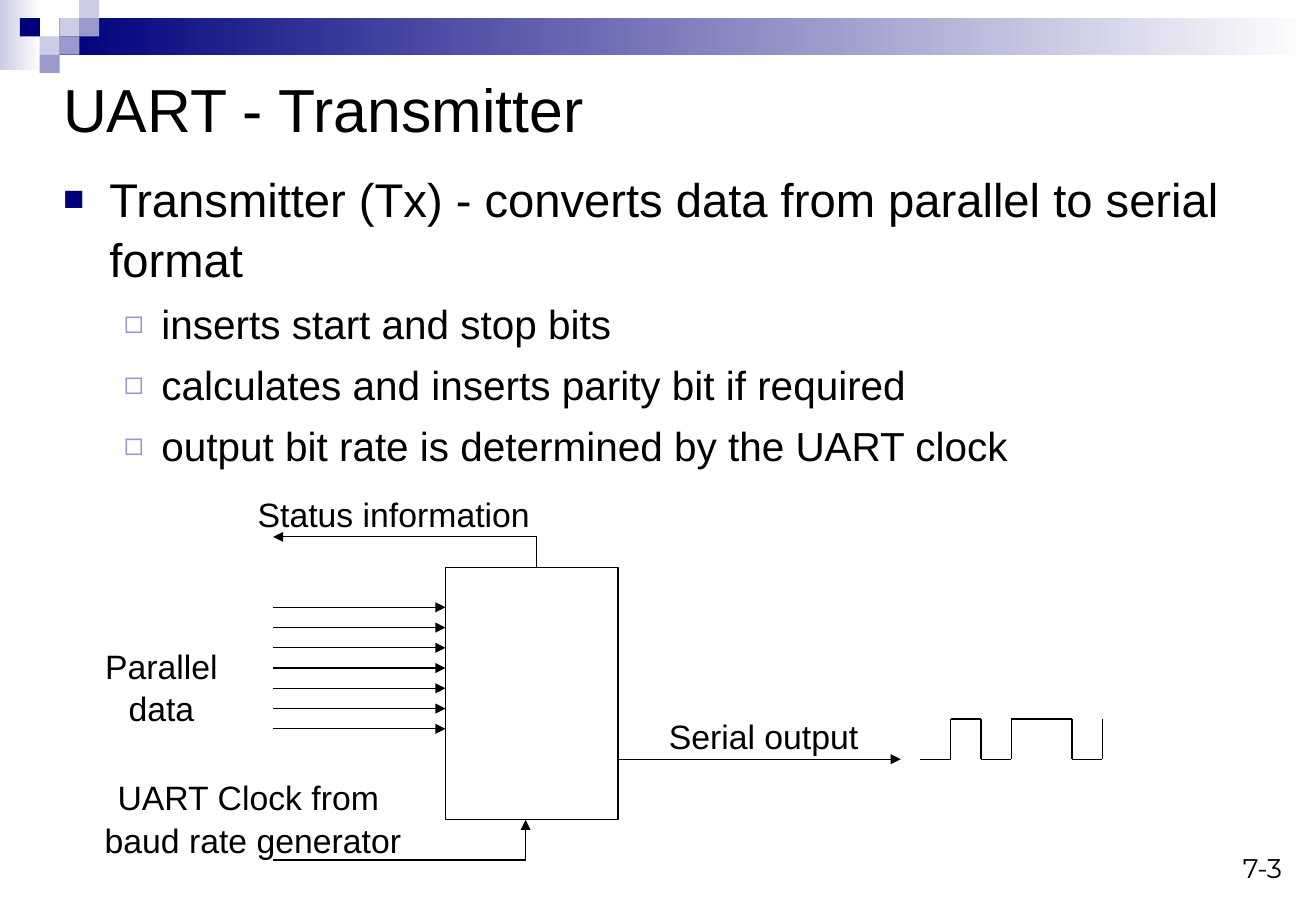
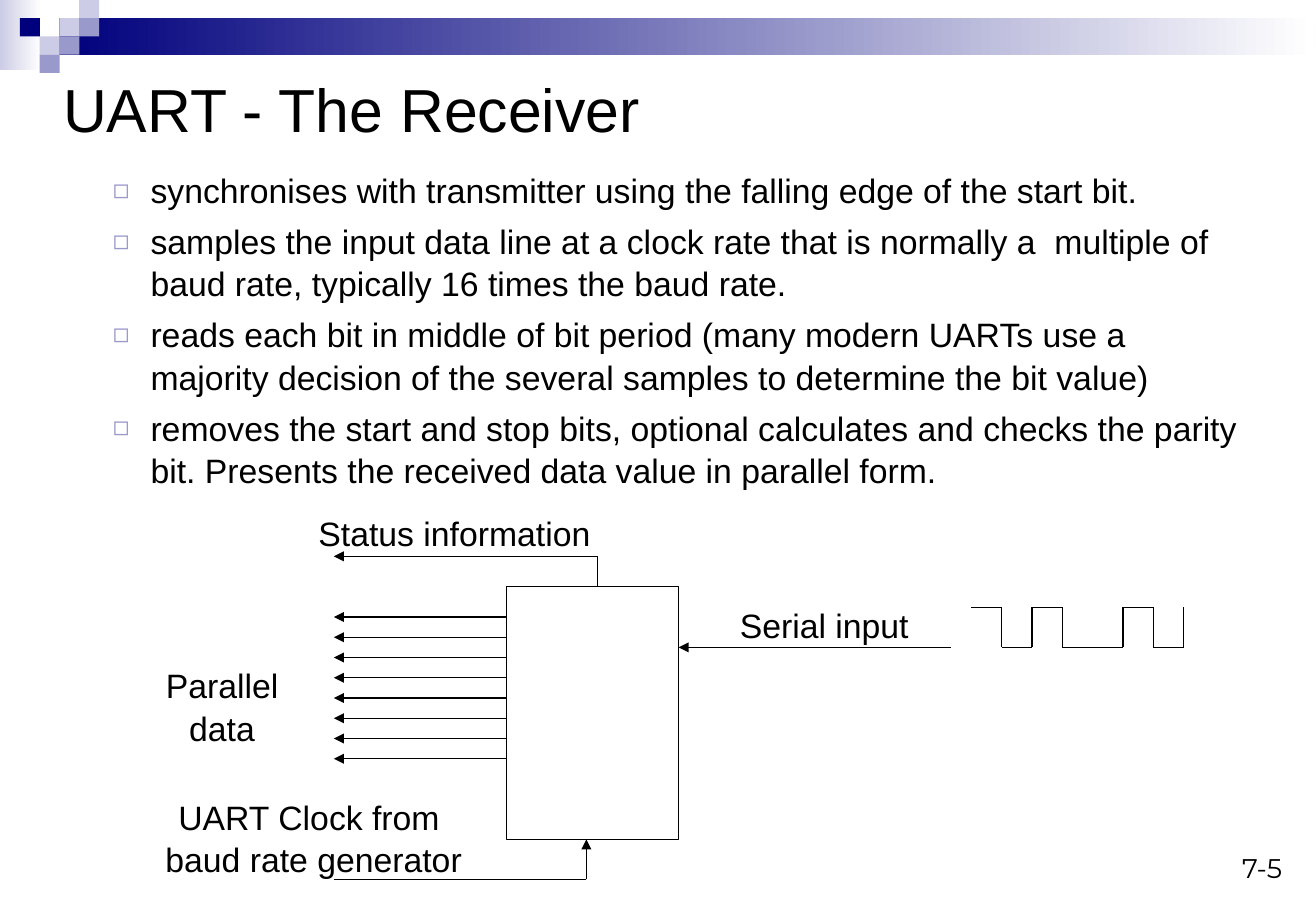
from dataclasses import dataclass

from lxml import etree
from pptx import Presentation
from pptx.dml.color import RGBColor
from pptx.enum import shapes, text
from pptx.oxml.ns import qn
from pptx.util import Inches, Pt


@dataclass(frozen=True)
class Theme:
    ink: RGBColor = RGBColor(0x00, 0x00, 0x00)
    white: RGBColor = RGBColor(0xFF, 0xFF, 0xFF)
    navy: RGBColor = RGBColor(0x00, 0x00, 0x7D)
    lilac: RGBColor = RGBColor(0x99, 0x99, 0xCC)
    pale: RGBColor = RGBColor(0xCC, 0xCC, 0xE6)
    font: str = "Arial"
    number_font: str = "Montserrat"
    title_size: int = 36
    label_size: int = 20
    number_size: int = 16
    line_width: float = 0.75
    line_spacing: float = 1.05


THEME = Theme()

# Bullet per list level: character, colour, size %, left indent, hanging indent
BULLETS = [("■", THEME.navy, 75, 0.38, 0.38),
           ("◻", THEME.lilac, 80, 0.81, 0.31)]

# Diagram measures, in inches
BOX_W, BOX_H = 1.42, 2.08
WIRE_END = -1.42      # left end of the wires, from the box's left side
WIRE_GAP = 1 / 6
BIT_W, BIT_H = 0.25, 0.33


def box_of(left, top, width, height):
    return [Inches(v) for v in (left, top, width, height)]


def style(paragraph, size, font=THEME.font, align=text.PP_ALIGN.LEFT):
    paragraph.alignment = align
    paragraph.line_spacing = THEME.line_spacing
    paragraph.font.name = font
    paragraph.font.size = Pt(size)
    paragraph.font.color.rgb = THEME.ink


def place(shape, left, top, width, height):
    shape.left, shape.top, shape.width, shape.height = box_of(left, top, width, height)


# Shared frame: band and title position on the layout
def band_tile(slide, bounds, *colors):
    tile = slide.shapes.add_shape(shapes.MSO_SHAPE.RECTANGLE, *box_of(*bounds))
    tile.shadow.inherit = False
    tile.line.fill.background()
    if len(colors) == 1:
        tile.fill.solid()
        tile.fill.fore_color.rgb = colors[0]
    else:
        tile.fill.gradient()
        tile.fill.gradient_angle = 0
        for stop, color in zip(tile.fill.gradient_stops, colors):
            stop.color.rgb = color
    return tile


def build_layout(layout, slide):
    """Draw the band on a slide, then move it to the layout behind everything."""
    tiles = [band_tile(slide, (0, 0, 0.34, 0.58), THEME.pale, THEME.white),
             band_tile(slide, (0.49, 0.15, 10.34, 0.3), THEME.navy, THEME.white)]
    checker = [(3, 1, THEME.pale), (4, 0, THEME.pale), (4, 1, THEME.lilac),
               (2, 2, THEME.pale), (1, 1, THEME.navy), (3, 2, THEME.lilac),
               (2, 3, THEME.lilac)]
    for column, row, color in checker:
        tiles.append(band_tile(slide, (column * 0.163, row * 0.15, 0.165, 0.15), color))
    for index, tile in enumerate(tiles):
        tile.element.nvSpPr.cNvPr.set("id", str(100 + index))
        layout.shapes.element.insert(2 + index, tile.element)
    place(layout.placeholders[0], 0.42, 0.5, 9.88, 0.75)


# Text
def add_title(slide, wording):
    title = slide.shapes.title
    title.text_frame.text = wording
    title.text_frame.vertical_anchor = text.MSO_ANCHOR.MIDDLE
    title.text_frame.auto_size = text.MSO_AUTO_SIZE.NONE
    style(title.text_frame.paragraphs[0], THEME.title_size)


def add_bullet(paragraph, level):
    char, color, percent, left, hanging = BULLETS[level]
    props = paragraph._p.get_or_add_pPr()
    props.set("marL", str(Inches(left)))
    props.set("indent", str(-Inches(hanging)))
    bullet_color = etree.SubElement(props, qn("a:buClr"))
    etree.SubElement(bullet_color, qn("a:srgbClr"), val=str(color))
    etree.SubElement(props, qn("a:buSzPct"), val=str(percent * 1000))
    etree.SubElement(props, qn("a:buFont"), typeface=THEME.font)
    etree.SubElement(props, qn("a:buChar"), char=char)


def add_list(slide, bounds, items):
    """Each item is (level, size, space before, wording)."""
    body = slide.placeholders[1]
    place(body, *bounds)
    frame = body.text_frame
    frame.auto_size = text.MSO_AUTO_SIZE.NONE
    for index, (level, size, gap, wording) in enumerate(items):
        paragraph = frame.add_paragraph() if index else frame.paragraphs[0]
        paragraph.text = wording
        paragraph.level = level
        add_bullet(paragraph, level)
        paragraph.space_before = Pt(gap if index else 0)
        style(paragraph, size)


def add_label(slide, bounds, wording, size=THEME.label_size, font=THEME.font,
              align=text.PP_ALIGN.CENTER, anchor=text.MSO_ANCHOR.TOP):
    frame = slide.shapes.add_textbox(*box_of(*bounds)).text_frame
    frame.word_wrap = True
    frame.vertical_anchor = anchor
    frame.text = wording
    style(frame.paragraphs[0], size, font, align)


def add_page_number(slide, number):
    add_label(slide, (9.58, 6.83, 1.08, 0.5), number, THEME.number_size,
              THEME.number_font, text.PP_ALIGN.RIGHT, text.MSO_ANCHOR.BOTTOM)


# Diagram
def add_wire(slide, points, arrow=True):
    """Join the points with straight lines; the arrowhead is at the last one."""
    for start, end in zip(points, points[1:]):
        segment = slide.shapes.add_connector(
            shapes.MSO_CONNECTOR.STRAIGHT, *[Inches(v) for v in (*start, *end)])
        segment.line.color.rgb = THEME.ink
        segment.line.width = Pt(THEME.line_width)
        etree.SubElement(segment.element.spPr, qn("a:effectLst"))
    if arrow:
        etree.SubElement(segment.line._get_or_add_ln(), qn("a:tailEnd"), type="triangle")


def add_wave(slide, left, base, bits):
    """Draw the bits as a signal that ends with a rising edge."""
    points = []
    for index, bit in enumerate(bits):
        level = base - BIT_H * int(bit)
        points += [(left + BIT_W * index, level), (left + BIT_W * (index + 1), level)]
    points.append((left + BIT_W * len(bits), base - BIT_H))
    add_wire(slide, points, arrow=False)


def add_uart(slide, left, top, receives, lanes, first_lane, serial, wave_left, bits):
    """Draw the UART box with its wires; lengths are from its top left corner."""
    def at(x, y):
        return left + x, top + y

    unit = slide.shapes.add_shape(shapes.MSO_SHAPE.RECTANGLE,
                                  *box_of(left, top, BOX_W, BOX_H))
    unit.shadow.inherit = False
    unit.fill.background()
    unit.line.color.rgb = THEME.ink
    unit.line.width = Pt(THEME.line_width)

    # Status and clock
    add_wire(slide, [at(0.75, 0), at(0.75, -0.25), at(WIRE_END, -0.25)])
    add_wire(slide, [at(WIRE_END, 2.41), at(0.66, 2.41), at(0.66, BOX_H)])

    # Parallel and serial data
    direction = -1 if receives else 1
    for lane in range(lanes):
        y = first_lane + lane * WIRE_GAP
        add_wire(slide, [at(WIRE_END, y), at(0, y)][::direction])
    far_end = 3.66 if receives else 3.75
    add_wire(slide, [at(BOX_W, serial), at(far_end, serial)][::direction])
    add_wave(slide, *at(wave_left, serial), bits)

    # Labels
    serial_name = "Serial input" if receives else "Serial output"
    add_label(slide, (*at(1.58, serial - 0.42), 2.08, 0.44), serial_name)
    add_label(slide, (*at(-3.09, 0.58), 1.5, 0.77), "Parallel data")
    add_label(slide, (*at(-3.17, 1.66), 3.17, 0.77),
              "UART Clock from \vbaud rate generator")
    add_label(slide, (*at(-2.09, -0.67), 3.33, 0.44), "Status information")


def main():
    prs = Presentation()
    prs.slide_width, prs.slide_height = Inches(10.84), Inches(7.5)
    layout = prs.slide_layouts[1]

    # Transmitter
    transmitter = prs.slides.add_slide(layout)
    build_layout(layout, transmitter)
    add_title(transmitter, "UART - Transmitter")
    add_list(transmitter, (0.42, 1.33, 9.83, 5.92), [
        (0, 28, 7, "Transmitter (Tx) - converts data from parallel to serial format"),
        (1, 24, 6, "inserts start and stop bits"),
        (1, 24, 6, "calculates and inserts parity bit if required"),
        (1, 24, 6, "output bit rate is determined by the UART clock"),
    ])
    add_uart(transmitter, 3.67, 4.67, receives=False, lanes=7, first_lane=0.33,
             serial=1.58, wave_left=3.91, bits="010110")
    add_page_number(transmitter, "7-3")

    # Receiver
    receiver = prs.slides.add_slide(layout)
    add_title(receiver, "UART - The Receiver")
    duties = [
        "synchronises with transmitter using the falling edge of the start bit.",
        "samples the input data line at a clock rate that is normally a  multiple of "
        "baud rate, typically 16 times the baud rate.",
        "reads each bit in middle of bit period (many modern UARTs use a majority "
        "decision of the several samples to determine the bit value)",
        "removes the start and stop bits, optional calculates and checks the parity "
        "bit. Presents the received data value in parallel form.",
    ]
    add_list(receiver, (0.33, 1.33, 10, 3.35), [(1, 20, 5, duty) for duty in duties])
    add_uart(receiver, 4.17, 4.83, receives=True, lanes=8, first_lane=0.25,
             serial=0.5, wave_left=3.83, bits="1010010")
    add_page_number(receiver, "7-5")

    prs.save("out.pptx")


if __name__ == "__main__":
    main()
